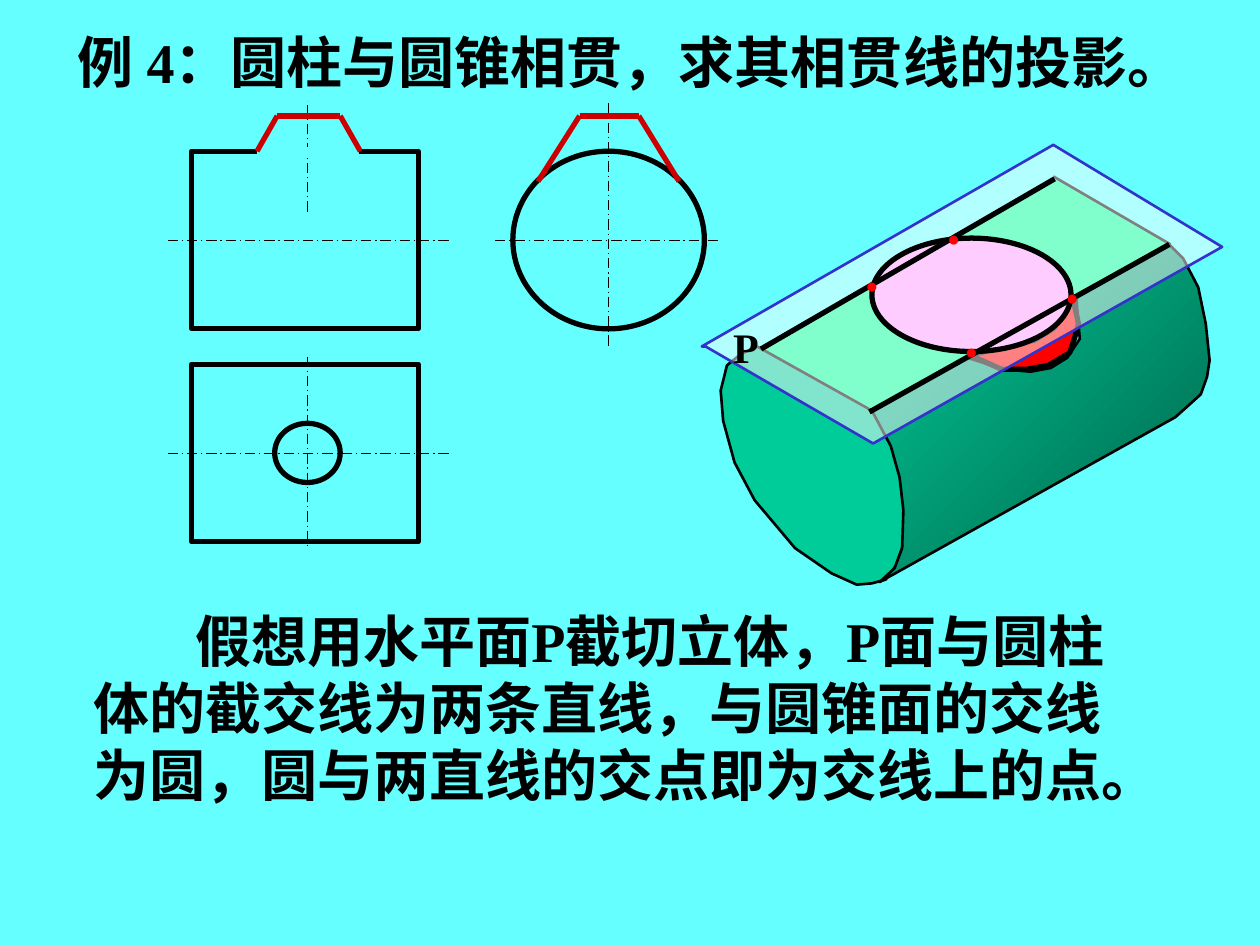
from lxml import etree
from pptx import Presentation
from pptx.dml.color import RGBColor
from pptx.enum.dml import MSO_LINE
from pptx.enum.shapes import MSO_CONNECTOR, MSO_SHAPE
from pptx.enum.text import MSO_ANCHOR, PP_ALIGN
from pptx.oxml.ns import qn
from pptx.util import Inches, Pt

STRAIGHT = MSO_CONNECTOR.STRAIGHT
CENTRE_DASH = MSO_LINE.LONG_DASH_DOT
ELLIPSE, RECTANGLE = MSO_SHAPE.OVAL, MSO_SHAPE.RECTANGLE
LEFT, CENTER = PP_ALIGN.LEFT, PP_ALIGN.CENTER
TOP, MIDDLE = MSO_ANCHOR.TOP, MSO_ANCHOR.MIDDLE

FONT = "Times New Roman"
BACKGROUND, BLACK, CONE_RED, RED = "66FFFF", "000000", "CC0000", "FF0000"
SECTION_GREEN, CYLINDER_GREEN, DARK_GREEN = "00FF99", "00CC99", "006048"
PINK, WHITE, PLANE_BLUE = "FFCCFF", "FFFFFF", "3333CC"

TITLE = "例 4：圆柱与圆锥相贯，求其相贯线的投影。"
BODY = ("假想用水平面P截切立体，P面与圆柱体的截交线为两条直线，"
        "与圆锥面的交线为圆，圆与两直线的交点即为交线上的点。")

SECTION_BACK = [(7.61, 1.87), (8.38, 1.42), (9.27, 1.93), (8.54, 2.34), (8.4, 2.14),
                (8.29, 2.03), (8.06, 1.92), (7.87, 1.88)]
SECTION_FRONT = [(6.06, 2.77), (6.93, 3.25), (7.77, 2.8), (7.41, 2.77), (7.18, 2.68),
                 (7.05, 2.59), (6.91, 2.41), (6.91, 2.25)]
END_FACE = [(6.94, 3.27), (7.07, 3.52), (7.16, 3.83), (7.18, 4.21), (7.16, 4.35),
            (7.11, 4.49), (7.03, 4.6), (6.92, 4.63), (6.8, 4.64), (6.6, 4.55),
            (6.31, 4.35), (5.99, 3.97), (5.83, 3.67), (5.74, 3.34), (5.72, 3.1),
            (5.77, 2.9), (5.88, 2.81), (6.01, 2.75)]
CYLINDER_SIDE = [(6.98, 4.62), (9.33, 3.31), (9.53, 3.13), (9.58, 2.99), (9.6, 2.86),
                 (9.57, 2.57), (9.51, 2.28), (9.39, 2.05), (9.28, 1.94), (8.54, 2.34),
                 (8.57, 2.69), (8.47, 2.84), (8.34, 2.92), (8.18, 2.95), (7.96, 2.93),
                 (7.68, 2.84), (6.92, 3.26), (7.07, 3.54), (7.14, 3.79), (7.17, 4.05),
                 (7.16, 4.35), (7.1, 4.51)]
CONE_SIDE = [(8.51, 2.34), (8.56, 2.57), (8.53, 2.68), (8.49, 2.8), (8.32, 2.9),
             (8.15, 2.93), (7.95, 2.93), (7.7, 2.82), (7.97, 2.75), (8.21, 2.7),
             (8.37, 2.6)]
PLANE_P = [(5.57, 2.75), (5.6, 2.75), (6.93, 3.52), (9.7, 1.96), (8.36, 1.15)]


def rgb(value):
    """Turn a hex string into a colour."""
    return RGBColor.from_string(value)


def paint(shape, fill=None, line=None, width=3.0):
    """Set the fill and outline of a shape, without a shadow."""
    shape.shadow.inherit = False
    if fill:
        shape.fill.solid()
        shape.fill.fore_color.rgb = rgb(fill)
    else:
        shape.fill.background()
    if line:
        shape.line.color.rgb = rgb(line)
        shape.line.width = Pt(width)
    else:
        shape.line.fill.background()


def add_line(page, start, end, color=BLACK, width=3.0, dash=None):
    """Draw a straight line between two points."""
    points = [Inches(value) for value in (*start, *end)]
    line = page.shapes.add_connector(STRAIGHT, *points)
    line.line.color.rgb = rgb(color)
    line.line.width = Pt(width)
    if dash:
        line.line.dash_style = dash
    etree.SubElement(line._element.spPr, qn("a:effectLst"))


def add_centre_line(page, start, end):
    """Draw a thin dash-dot axis."""
    add_line(page, start, end, width=0.75, dash=CENTRE_DASH)


def add_preset(page, kind, left, top, width, height, fill=None):
    """Draw a black-outlined ellipse or rectangle."""
    box = [Inches(value) for value in (left, top, width, height)]
    paint(page.shapes.add_shape(kind, *box), fill, BLACK)


def add_polygon(page, points, fill, line=None, width=1.5):
    """Draw a closed outline through the points."""
    start, *others = [(Inches(x), Inches(y)) for x, y in points]
    builder = page.shapes.build_freeform(*start, scale=1.0)
    builder.add_line_segments(others, close=True)
    shape = builder.convert_to_shape()
    paint(shape, fill, line, width)
    return shape


def add_text(page, text, left, top, width, height, size, color=BLACK, bold=True,
             align=CENTER, anchor=MIDDLE, wrap=False, indent=0.0):
    """Add a one-paragraph text box."""
    box = page.shapes.add_textbox(*[Inches(value) for value in (left, top, width, height)])
    frame = box.text_frame
    frame.word_wrap = wrap
    frame.vertical_anchor = anchor
    para = frame.paragraphs[0]
    para.text = text
    para.alignment = align
    if indent:
        para._p.get_or_add_pPr().set("indent", str(Inches(indent)))
    para.font.name = FONT
    para.font.size = Pt(size)
    para.font.bold = bold
    para.font.color.rgb = rgb(color)


def draw_projections(page):
    """Draw the front, side and top views."""
    add_centre_line(page, (3.93, 1.91), (5.73, 1.91))
    add_centre_line(page, (4.83, 0.82), (4.83, 2.75))
    add_preset(page, ELLIPSE, 4.07, 1.2, 1.52, 1.41)
    for axis, top in ((1.91, 1.2), (3.6, 2.89)):
        add_centre_line(page, (1.33, axis), (3.56, axis))
        add_preset(page, RECTANGLE, 1.52, top, 1.8, 1.41)
    add_centre_line(page, (2.44, 2.83), (2.44, 4.35))
    add_centre_line(page, (2.44, 1.68), (2.44, 0.8))
    add_preset(page, ELLIPSE, 2.18, 3.36, 0.52, 0.47)
    add_line(page, (2.04, 1.2), (2.85, 1.2), BACKGROUND, 4.5)
    side_cone = [(4.27, 1.44), (4.6, 0.92), (5.07, 0.92), (5.39, 1.44)]
    front_cone = [(2.04, 1.2), (2.2, 0.92), (2.7, 0.92), (2.86, 1.2)]
    for outline in (side_cone, front_cone):
        for start, end in zip(outline, outline[1:]):
            add_line(page, start, end, CONE_RED)


def draw_solid(page):
    """Draw the cylinder and cone cut by plane P."""
    add_polygon(page, SECTION_BACK, SECTION_GREEN)
    add_polygon(page, SECTION_FRONT, SECTION_GREEN)
    add_line(page, (6.01, 2.77), (6.94, 3.29))
    add_line(page, (9.29, 1.94), (8.36, 1.4), width=1.5)
    add_polygon(page, END_FACE, CYLINDER_GREEN, BLACK)
    side = add_polygon(page, CYLINDER_SIDE, CYLINDER_GREEN, BLACK)
    side.fill.gradient()
    side.fill.gradient_angle = 315
    for stop, color in zip(side.fill.gradient_stops, (CYLINDER_GREEN, DARK_GREEN)):
        stop.color.rgb = rgb(color)
    add_polygon(page, CONE_SIDE, RED, BLACK, 3)
    plane = add_polygon(page, PLANE_P, WHITE, PLANE_BLUE)
    plane_color = plane._element.spPr.find(qn("a:solidFill"))[0]
    etree.SubElement(plane_color, qn("a:alpha"), val="50000")
    add_text(page, "P", 5.72, 2.5, 0.4, 0.5, 24)
    add_preset(page, ELLIPSE, 6.92, 1.89, 1.58, 0.9, PINK)
    add_line(page, (6.9, 3.27), (9.28, 1.94))
    add_line(page, (6.04, 2.77), (8.37, 1.42))
    for left, top in ((8.36, 2.21), (7.42, 1.74), (6.77, 2.11), (7.56, 2.64)):
        add_text(page, "●", left, top, 0.3, 0.3, 12, RED, bold=False)


def main():
    """Build the slide and save it."""
    deck = Presentation()
    deck.slide_width, deck.slide_height = Inches(10), Inches(7.5)
    page = deck.slides.add_slide(deck.slide_layouts[6])
    page.background.fill.solid()
    page.background.fill.fore_color.rgb = rgb(BACKGROUND)
    add_text(page, TITLE, 0.52, 0.17, 9.29, 0.64, 32, align=LEFT, anchor=TOP)
    draw_projections(page)
    add_text(page, BODY, 0.64, 4.49, 8.47, 2.24, 32, align=LEFT, wrap=True, indent=0.81)
    draw_solid(page)
    deck.save("out.pptx")


if __name__ == "__main__":
    main()
